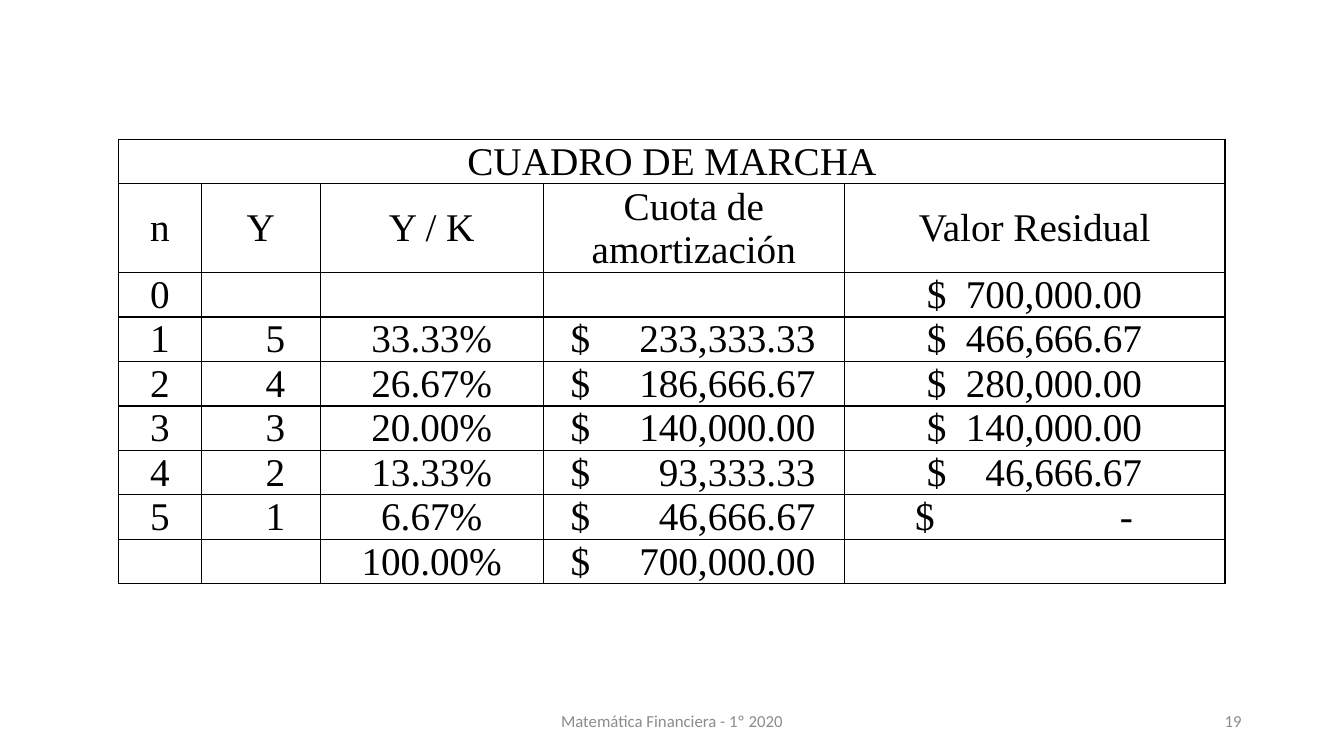
from pptx import Presentation
from pptx.dml.color import RGBColor as Rgb
from pptx.enum.text import MSO_ANCHOR as Anchor, PP_ALIGN as Align
from pptx.oxml import parse_xml
from pptx.oxml.ns import nsdecls
from pptx.util import Cm, Pt

HUES = {"ink": "000000", "foot": "8C8C8C"}
COLS = [2.08, 3.0, 5.62, 7.59, 9.59]
LINE = 1.12
HEAD = ["n", "Y", "Y / K", "Cuota de amortización", "Valor Residual"]
ROWS = [
    ["0", "", "", "", "$\t700,000.00"],
    ["1", "5", "33.33%", "$\t233,333.33", "$\t466,666.67"],
    ["2", "4", "26.67%", "$\t186,666.67", "$\t280,000.00"],
    ["3", "3", "20.00%", "$\t140,000.00", "$\t140,000.00"],
    ["4", "2", "13.33%", "$\t93,333.33", "$\t46,666.67"],
    ["5", "1", "6.67%", "$\t46,666.67", "$\t-"],
    ["", "", "100.00%", "$\t700,000.00", ""],
]
# Left indent of the currency sign and width up to the right edge of the amount
MONEY = {3: (0.69, 6.17), 4: (2.08, 5.42)}
NIL = (1.78, 5.49)


def style(para, size, font, hue, align):
    para.alignment = align
    para.font.size = Pt(size)
    para.font.name = font
    para.font.color.rgb = Rgb.from_string(HUES[hue])


def frame(cell):
    """Give the cell no fill and a thin line on all four sides."""
    cell.fill.background()
    props = cell._tc.get_or_add_tcPr()
    for spot, side in enumerate(("lnL", "lnR", "lnT", "lnB")):
        props.insert(spot, parse_xml(
            f'<a:{side} {nsdecls("a")} w="12700"><a:solidFill>'
            f'<a:srgbClr val="{HUES["ink"]}"/></a:solidFill></a:{side}>'))


def set_tab(para, width):
    """Add one right-aligned tab stop."""
    props = para._p.get_or_add_pPr()
    tabs = parse_xml(f'<a:tabLst {nsdecls("a")}>'
                     f'<a:tab pos="{Cm(width)}" algn="r"/></a:tabLst>')
    props.insert_element_before(tabs, "a:defRPr", "a:extLst")


def fill_cell(cell, text, col, body):
    cell.text = text
    cell.vertical_anchor = Anchor.MIDDLE
    cell.margin_left = cell.margin_right = cell.margin_top = Cm(0.02)
    cell.margin_bottom = 0
    para = cell.text_frame.paragraphs[0]
    money = "\t" in text
    style(para, 28, "Times New Roman", "ink",
          Align.LEFT if money else Align.CENTER)
    if money:
        left, width = NIL if text.endswith("-") else MONEY[col]
        cell.margin_left = Cm(left)
        set_tab(para, width)
    elif body and col == 1:
        cell.margin_left = Cm(0.76)
    frame(cell)


def add_chart_of_payments(slide, left, top):
    grid = [["CUADRO DE MARCHA"] + [""] * 4, HEAD] + ROWS
    table = slide.shapes.add_table(
        len(grid), len(COLS), Cm(left), Cm(top),
        Cm(sum(COLS)), Cm(LINE * (len(grid) + 1))).table
    table.first_row = table.horz_banding = False
    for col, width in zip(table.columns, COLS):
        col.width = Cm(width)
    for r, texts in enumerate(grid):
        table.rows[r].height = Cm(LINE * (2 if r == 1 else 1))
        for c, text in enumerate(texts):
            fill_cell(table.cell(r, c), text, c, r > 1)
    table.cell(0, 0).merge(table.cell(0, len(COLS) - 1))


def add_note(slide, left, top, width, text, align):
    box = slide.shapes.add_textbox(Cm(left), Cm(top), Cm(width), Cm(1.01))
    box.text_frame.word_wrap = True
    box.text_frame.vertical_anchor = Anchor.MIDDLE
    box.text_frame.text = text
    style(box.text_frame.paragraphs[0], 12, "Calibri", "foot", align)


def add_footer(slide, top):
    add_note(slide, 11.22, top, 11.43, "Matemática Financiera - 1º 2020",
             Align.CENTER)
    add_note(slide, 23.92, top, 7.62, "19", Align.RIGHT)


def main():
    deck = Presentation()
    deck.slide_width, deck.slide_height = Cm(33.87), Cm(19.05)
    slide = deck.slides.add_slide(deck.slide_layouts[6])
    add_chart_of_payments(slide, 2.99, 3.51)
    add_footer(slide, 17.66)
    deck.save("out.pptx")


if __name__ == "__main__":
    main()
